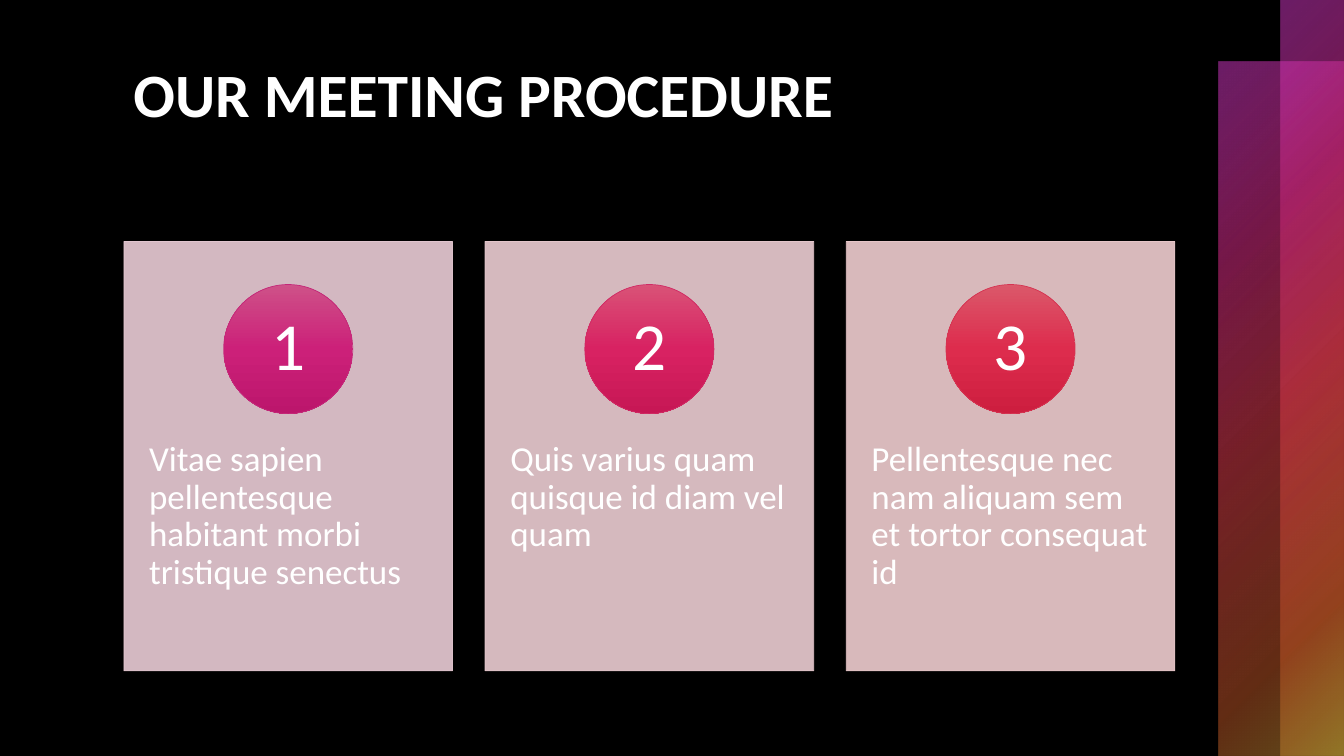
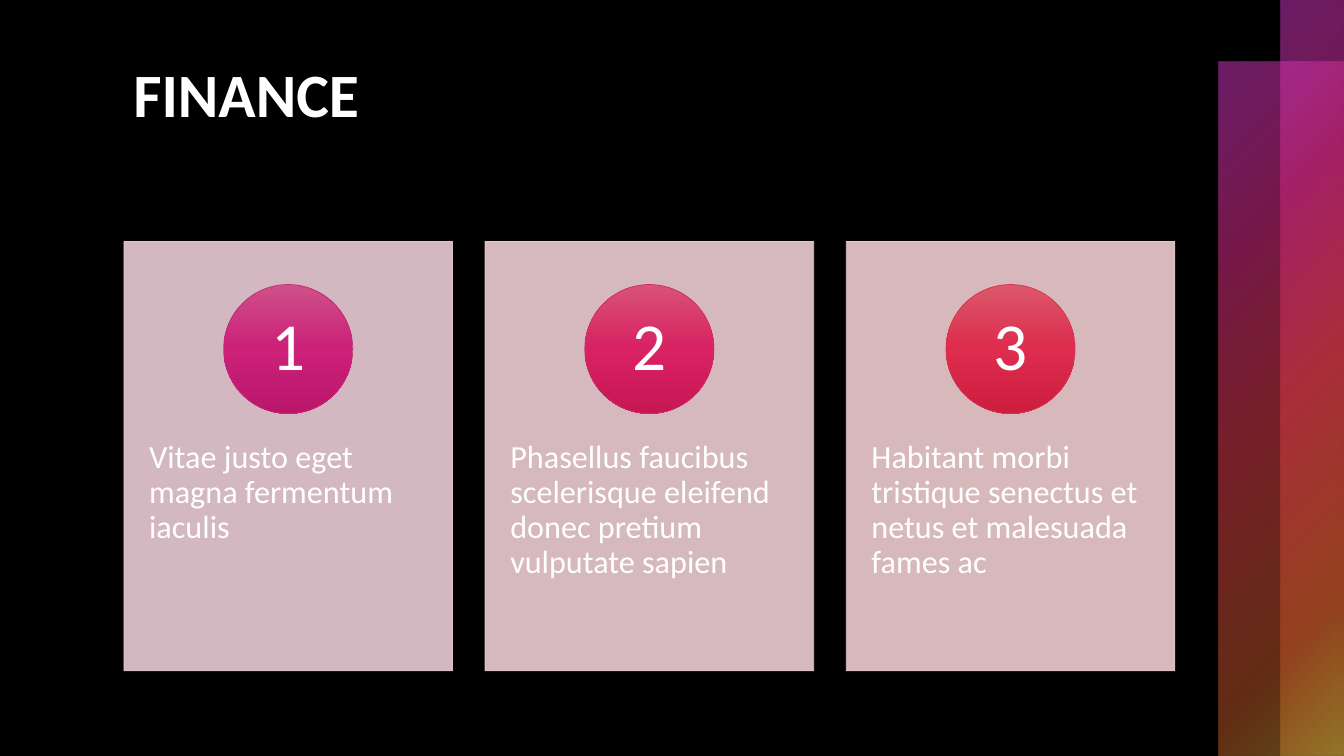
from dataclasses import dataclass

from lxml.etree import SubElement
from pptx import Presentation
from pptx.dml.color import RGBColor
from pptx.enum.shapes import MSO_SHAPE
from pptx.enum.text import MSO_ANCHOR, PP_ALIGN
from pptx.oxml import parse_xml
from pptx.oxml.ns import nsdecls, qn
from pptx.util import Emu, Pt

EMU_PER_PX = 9525
SLIDE_W, SLIDE_H = 1280, 720


@dataclass(frozen=True)
class Theme:
    """Colours and type sizes shared by both slides."""

    font: str = "Calibri"
    ground: str = "000000"
    text: str = "FFFFFF"
    title_size: int = 44
    number_size: int = 48
    outline: float = 0.5
    card_alpha: int = 90
    cards: tuple = ("EACDD7", "EDCED3", "F0CED0")
    badge_lines: tuple = ("C42879", "D02B65", "D53452")
    badges: tuple = (
        ((0, "CE5188", 100), (50, "CC2079", 100), (100, "BC166C", 100)),
        ((0, "D95277", 100), (50, "D82262", 100), (100, "C71755", 100)),
        ((0, "DB586A", 100), (50, "DD2C4D", 100), (100, "CD1E3F", 100)),
    )
    band: tuple = ((0, "D63ACC", 50), (25, "C42879", 60), (50, "D63A4A", 55),
                   (81, "C45928", 50), (99, "C39D35", 50))


THEME = Theme()
DOWNWARD = '<a:lin ang="5400000" scaled="0"/>'
FROM_TOP_LEFT = '<a:path path="circle"><a:fillToRect r="100000" b="100000"/></a:path>'

SLIDES = (
    ("OUR MEETING PROCEDURE", 25, (
        "Vitae sapien pellentesque habitant morbi tristique senectus",
        "Quis varius quam quisque id diam vel quam",
        "Pellentesque nec nam aliquam sem et tortor consequat id",
    )),
    ("FINANCE", 23, (
        "Vitae justo eget magna fermentum iaculis",
        "Phasellus faucibus scelerisque eleifend donec pretium vulputate sapien",
        "Habitant morbi tristique senectus et netus et malesuada fames ac",
    )),
)


def px(length):
    """Turn px into EMU."""
    return Emu(round(length * EMU_PER_PX))


def add_panel(slide, preset, box):
    """Add a preset shape without shadow or outline."""
    panel = slide.shapes.add_shape(preset, *map(px, box))
    panel.shadow.inherit = False
    panel.line.fill.background()
    return panel


def paint_solid(fill, colour, alpha=100):
    """Paint a shape or line fill in one colour, with optional opacity."""
    fill.solid()
    fill.fore_color.rgb = RGBColor.from_string(colour)
    if alpha < 100:
        srgb = fill._xPr.find(".//" + qn("a:srgbClr"))
        SubElement(srgb, qn("a:alpha")).set("val", str(alpha * 1000))


def paint_gradient(panel, stops, direction):
    """Fill a shape with (position, colour, opacity) stops."""
    stop_xml = "".join(
        f'<a:gs pos="{position * 1000}"><a:srgbClr val="{colour}">'
        f'<a:alpha val="{alpha * 1000}"/></a:srgbClr></a:gs>'
        for position, colour, alpha in stops)
    panel.fill.gradient()
    properties = panel.element.spPr
    properties.replace(properties.find(qn("a:gradFill")), parse_xml(
        f'<a:gradFill rotWithShape="1" {nsdecls("a")}>'
        f'<a:gsLst>{stop_xml}</a:gsLst>{direction}</a:gradFill>'))


def write(frame, words, size, align, anchor, insets, bold=False, spacing=1.0):
    """Write one run into a text frame; insets are left, top, right, bottom."""
    frame.word_wrap = True
    frame.vertical_anchor = anchor
    (frame.margin_left, frame.margin_top,
     frame.margin_right, frame.margin_bottom) = map(px, insets)
    paragraph = frame.paragraphs[0]
    paragraph.alignment = align
    paragraph.line_spacing = spacing
    run = paragraph.add_run()
    run.text = words
    run.font.name = THEME.font
    run.font.size = Pt(size)
    run.font.bold = bold
    run.font.color.rgb = RGBColor.from_string(THEME.text)


def add_side_bands(slide, box):
    """Place two overlapping bands against the right edge of the box."""
    left, top, width, height = box
    step = width // 2
    for band_box in ((left, top + step, width, height - step),
                     (left + step, top, width - step, height)):
        band = add_panel(slide, MSO_SHAPE.RECTANGLE, band_box)
        paint_gradient(band, THEME.band, FROM_TOP_LEFT)


def add_title(slide, words, box):
    """Move the title placeholder to the box and fill it."""
    title = slide.shapes.title
    title.left, title.top, title.width, title.height = map(px, box)
    write(title.text_frame, words, THEME.title_size, PP_ALIGN.LEFT,
          MSO_ANCHOR.TOP, (10, 5, 10, 5), bold=True)


def add_card(slide, index, words, size, box):
    """Place one card with its numbered badge and its text."""
    left, top, width, _ = box
    card = add_panel(slide, MSO_SHAPE.RECTANGLE, box)
    paint_solid(card.fill, THEME.cards[index], THEME.card_alpha)
    paint_solid(card.line.fill, THEME.cards[index], THEME.card_alpha)
    card.line.width = Pt(THEME.outline)
    write(card.text_frame, words, size, PP_ALIGN.LEFT, MSO_ANCHOR.TOP,
          (24, 190, 24, 35), spacing=0.9)

    diameter = 123
    badge = add_panel(slide, MSO_SHAPE.OVAL,
                      (left + (width - diameter) / 2, top + 41, diameter, diameter))
    paint_gradient(badge, THEME.badges[index], DOWNWARD)
    paint_solid(badge.line.fill, THEME.badge_lines[index])
    badge.line.width = Pt(THEME.outline)
    write(badge.text_frame, str(index + 1), THEME.number_size, PP_ALIGN.CENTER,
          MSO_ANCHOR.MIDDLE, (0, 1, 0, 1), spacing=0.9)


def add_card_row(slide, texts, size, box):
    """Divide the box into equal cards with equal gaps."""
    left, top, width, height = box
    gap = 31
    card_width = (width - gap * (len(texts) - 1)) / len(texts)
    for index, words in enumerate(texts):
        card_left = left + index * (card_width + gap)
        add_card(slide, index, words, size, (card_left, top, card_width, height))


def add_cards_slide(deck, title, size, texts):
    """Build a slide with a title, side bands and a row of cards."""
    slide = deck.slides.add_slide(deck.slide_layouts[5])
    add_side_bands(slide, (SLIDE_W - 119, 0, 119, SLIDE_H))
    add_title(slide, title, (117, 48, 996, 163))
    add_card_row(slide, texts, size, (118, 230, 1001, 409))


def main():
    """Build and save the deck."""
    deck = Presentation()
    deck.slide_width, deck.slide_height = px(SLIDE_W), px(SLIDE_H)
    paint_solid(deck.slide_master.background.fill, THEME.ground)
    for title, size, texts in SLIDES:
        add_cards_slide(deck, title, size, texts)
    deck.save("out.pptx")


if __name__ == "__main__":
    main()
